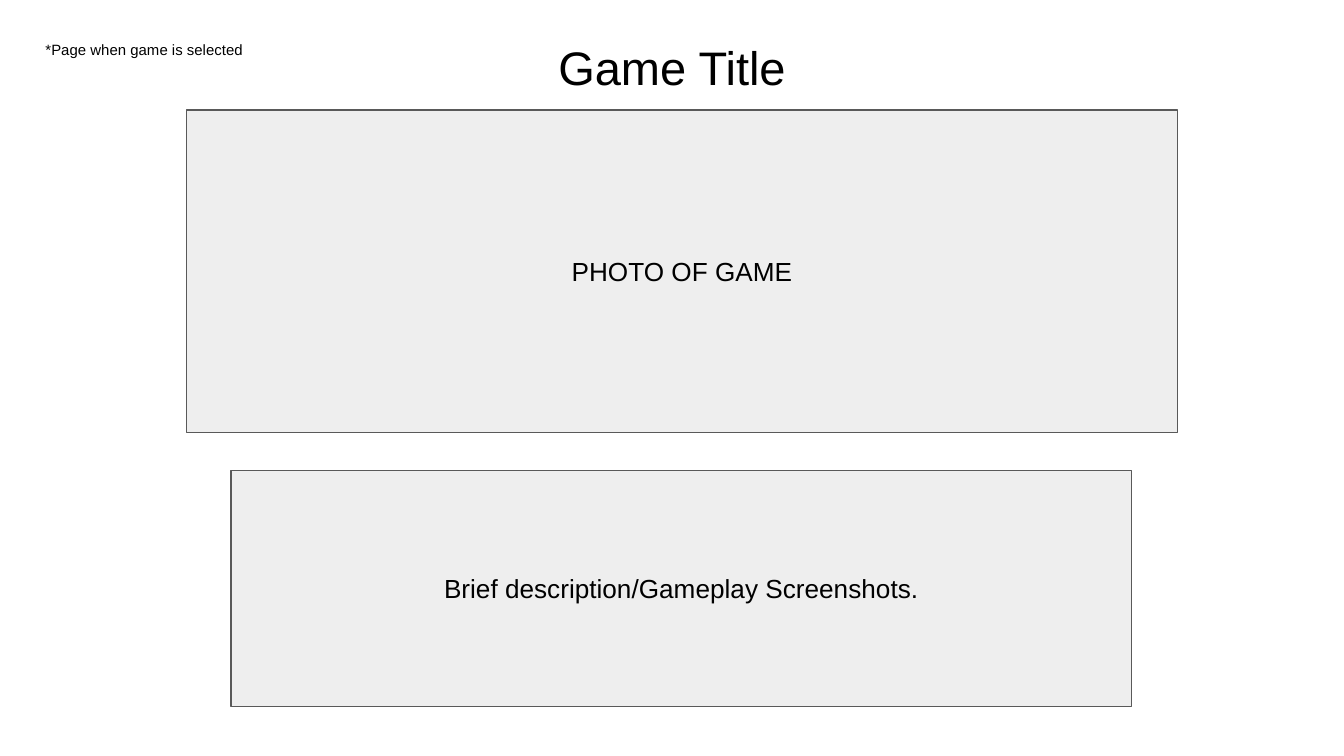
from pptx import Presentation
from pptx.dml.color import RGBColor
from pptx.enum.shapes import MSO_SHAPE
from pptx.enum.text import MSO_ANCHOR, MSO_AUTO_SIZE, PP_ALIGN
from pptx.util import Cm, Pt

RECT = MSO_SHAPE.RECTANGLE
TOP, MIDDLE = MSO_ANCHOR.TOP, MSO_ANCHOR.MIDDLE
LEFT, CENTER = PP_ALIGN.LEFT, PP_ALIGN.CENTER
NO_FIT = MSO_AUTO_SIZE.NONE


def color(code):
    return RGBColor.from_string(code)


def write(shape, text, size, align, anchor):
    """Fill the shape with one paragraph of black Arial."""
    frame = shape.text_frame
    frame.text = text
    frame.word_wrap = True
    frame.auto_size = NO_FIT
    frame.vertical_anchor = anchor
    frame.margin_left = frame.margin_right = Cm(0.25)
    frame.margin_top = frame.margin_bottom = Cm(0.25)
    line = frame.paragraphs[0]
    line.alignment = align
    line.font.name = "Arial"
    line.font.size = Pt(size)
    line.font.color.rgb = color("000000")


deck = Presentation()
deck.slide_width, deck.slide_height = Cm(25.4), Cm(14.29)
slide = deck.slides.add_slide(deck.slide_layouts[5])

title = slide.shapes.title
title.left, title.top = Cm(8.41), Cm(0.48)
title.width, title.height = Cm(8.58), Cm(1.6)
write(title, "Game Title", 25.2, CENTER, TOP)

panels = [
    ("PHOTO OF GAME", 3.53, 2.08, 18.72, 6.1),
    ("Brief description/Gameplay Screenshots.", 4.37, 8.89, 17.02, 4.47),
]
for text, *place in panels:
    panel = slide.shapes.add_shape(RECT, *map(Cm, place))
    panel.shadow.inherit = False
    panel.fill.solid()
    panel.fill.fore_color.rgb = color("EEEEEE")
    panel.line.color.rgb = color("595959")
    panel.line.width = Pt(0.75)
    write(panel, text, 14, CENTER, MIDDLE)

note = slide.shapes.add_textbox(Cm(0.61), Cm(0.51), Cm(5), Cm(0.86))
write(note, "*Page when game is selected", 8, LEFT, TOP)

deck.save("out.pptx")
